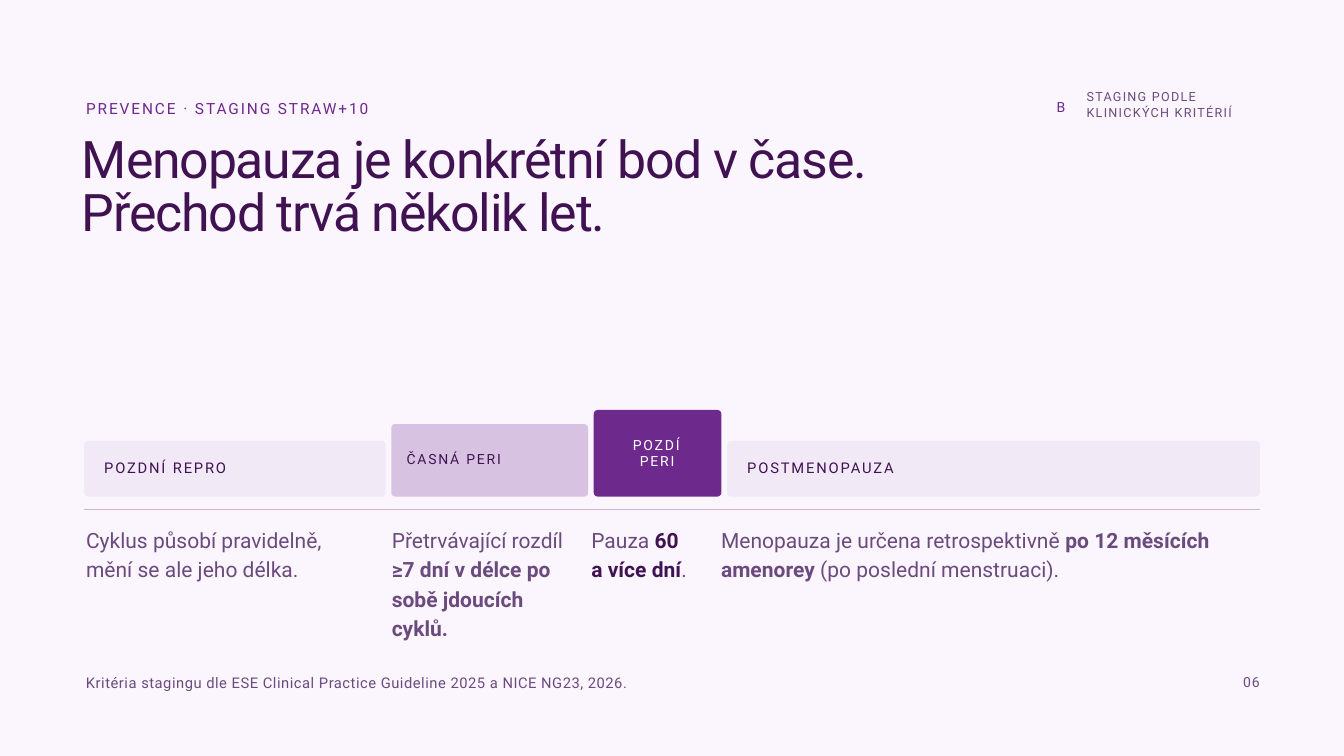
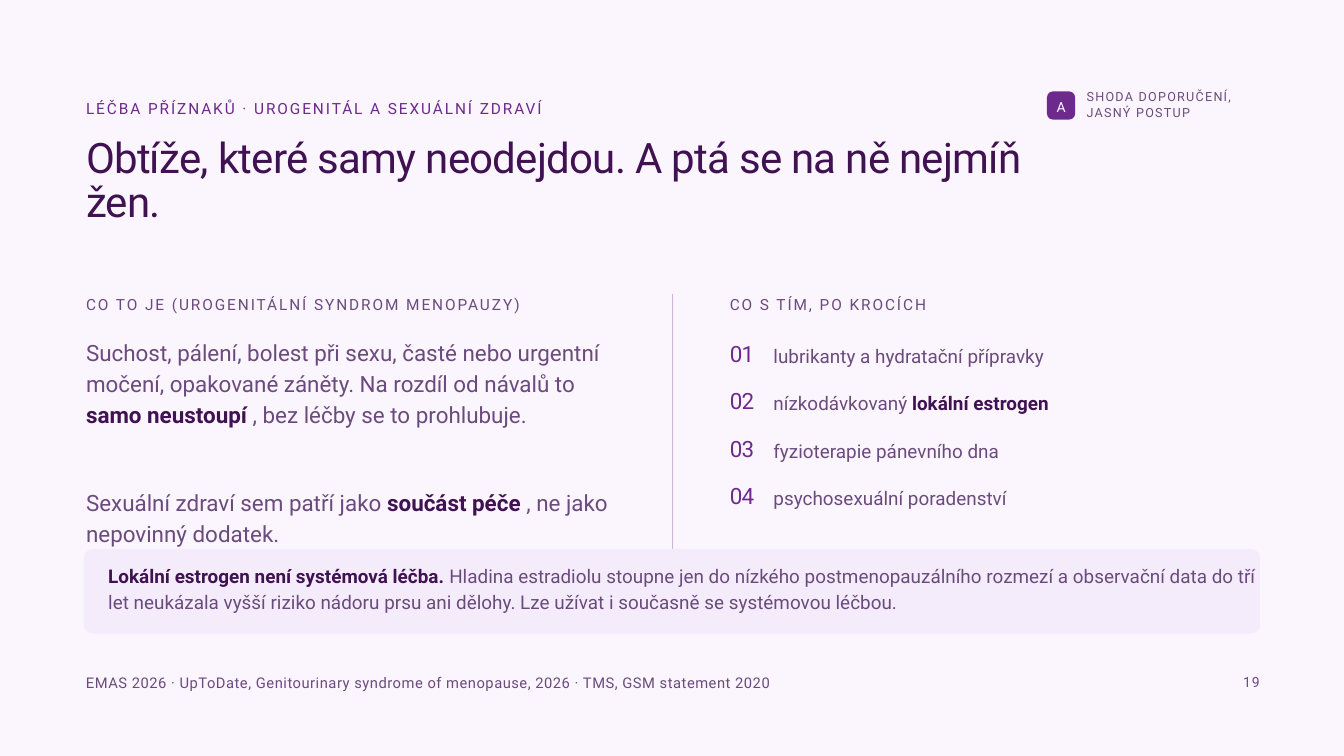
"""Build two slides on menopause staging and urogenital care."""
from dataclasses import dataclass

from pptx import Presentation
from pptx import util as u
from pptx.dml import color
from pptx.enum import shapes, text
from pptx.oxml import ns, xmlchemy
from pptx.oxml import parse_xml

LEFT = text.PP_ALIGN.LEFT
MID = text.PP_ALIGN.CENTER


@dataclass(frozen=True)
class Style:
    size: float
    lead: float
    ink: str
    track: float = 0
    bold: str = ""
    align: text.PP_ALIGN = LEFT


@dataclass(frozen=True)
class Theme:
    font: str = "Roboto"
    back: str = "FBF5FE"
    dark: str = "401252"
    soft: str = "6B4B7D"
    main: str = "6D2A8C"
    rule: str = "CDB3DC"
    pale: str = "F4ECFA"
    white: str = "FFFFFF"
    topic: Style = Style(16.5, 24.75, main, 2.1)
    head: Style = Style(16.5, 24.75, soft, 2.1)
    large: Style = Style(55.5, 56.7, dark, -1.3)
    title: Style = Style(45, 47.4, dark, -0.8)
    grade: Style = Style(15, 22.4, main, align=MID)
    mark: Style = Style(15, 22.4, white, align=MID)
    tag: Style = Style(13.5, 16.8, soft, 1.4)
    stage: Style = Style(15.75, 23.8, dark, 2)
    early: Style = Style(15, 22.4, dark, 1.9)
    late: Style = Style(15, 17.3, white, 1.9, align=MID)
    note: Style = Style(22.5, 31.1, soft, bold=soft)
    key: Style = Style(22.5, 31.1, soft, bold=dark)
    body: Style = Style(24, 33.3, soft, bold=dark)
    count: Style = Style(24, 36, main, -0.7)
    step: Style = Style(20.25, 28.1, soft, bold=dark)
    foot: Style = Style(15.75, 22.8, soft, 0.6)
    page: Style = Style(15, 22.4, soft, 0.9)


T = Theme()


@dataclass(frozen=True)
class Box:
    x: float
    y: float
    w: float
    h: float

    def lengths(self) -> list[u.Length]:
        return [u.Inches(v) for v in (self.x, self.y, self.w, self.h)]


@dataclass(frozen=True)
class Frame:
    topic: str
    title: str
    style: Style
    place: Box
    grade: str
    filled: bool
    tag: str
    foot: str
    page: str


@dataclass(frozen=True)
class Stage:
    width: float
    height: float
    fill: str
    alpha: int
    name: str
    spot: Box
    style: Style
    note: str
    area: Box
    kind: Style


EDGE, SPAN, INSET = 1.25, 17.5, 1.28
BASE, GAP = 7.39, 0.083

FRAMES = (
    Frame("PREVENCE · STAGING STRAW+10",
          "Menopauza je konkrétní bod v čase.\nPřechod trvá několik let.",
          T.large, Box(1.22, 2.03, 14.97, 1.63), "B", False,
          "STAGING PODLE KLINICKÝCH KRITÉRIÍ",
          "Kritéria stagingu dle ESE Clinical Practice Guideline 2025 a NICE NG23, 2026.",
          "06"),
    Frame("LÉČBA PŘÍZNAKŮ · UROGENITÁL A SEXUÁLNÍ ZDRAVÍ",
          "Obtíže, které samy neodejdou. A ptá se na ně nejmíň žen.",
          T.title, Box(INSET, 2.05, 14.97, 1.37), "A", True,
          "SHODA DOPORUČENÍ, JASNÝ POSTUP",
          "EMAS 2026 · UpToDate, Genitourinary syndrome of menopause, 2026"
          " · TMS, GSM statement 2020",
          "19"),
)

STAGES = (
    Stage(4.49, 0.83, T.main, 6, "POZDNÍ REPRO", Box(1.55, 6.76, 3.09, 0.32), T.stage,
          "Cyklus působí pravidelně, mění se ale jeho délka.",
          Box(INSET, 7.8, 4.21, 0.86), T.note),
    Stage(2.93, 1.08, T.main, 25, "ČASNÁ PERI", Box(6.05, 6.64, 1.55, 0.39), T.early,
          "Přetrvávající rozdíl *≥7 dní v délce po sobě jdoucích cyklů.",
          Box(5.83, 7.8, 2.59, 1.71), T.note),
    Stage(1.9, 1.29, T.main, 100, "POZDÍ PERI", Box(9.31, 6.5, 0.94, 0.5), T.late,
          "Pauza *60 a více dní*.", Box(8.8, 7.8, 1.54, 1.45), T.key),
    Stage(7.93, 0.83, T.main, 6, "POSTMENOPAUZA", Box(11.12, 6.76, 2.57, 0.32), T.stage,
          "Menopauza je určena retrospektivně *po 12 měsících amenorey *"
          "(po poslední menstruaci).",
          Box(10.73, 7.8, 8.24, 0.86), T.note),
)

STEPS = (
    "lubrikanty a hydratační přípravky",
    "nízkodávkovaný *lokální estrogen",
    "fyzioterapie pánevního dna",
    "psychosexuální poradenství",
)


def tint(code: str) -> color.RGBColor:
    """Turn a hex code into a colour."""
    return color.RGBColor.from_string(code)


def fill_text(frame, words: str, style: Style) -> None:
    """Write styled paragraphs, with starred parts in bold."""
    frame.margin_left = frame.margin_right = frame.margin_top = frame.margin_bottom = 0
    frame.word_wrap = True
    frame.auto_size = text.MSO_AUTO_SIZE.NONE
    for num, line in enumerate(words.split("\n")):
        para = frame.add_paragraph() if num else frame.paragraphs[0]
        para.alignment = style.align
        para.line_spacing = u.Pt(style.lead)
        font = para.font
        font.name, font.size, font.bold = T.font, u.Pt(style.size), False
        font.color.rgb = tint(style.ink)
        if style.track:
            props = para._p.get_or_add_pPr().get_or_add_defRPr()
            props.set("spc", str(round(style.track * 100)))
        for part, piece in enumerate(line.split("*")):
            if not piece:
                continue
            run = para.add_run()
            run.text = piece
            if part % 2:
                run.font.bold = True
                run.font.color.rgb = tint(style.bold)


def add_text(slide, box: Box, words: str, style: Style,
             anchor=text.MSO_ANCHOR.TOP) -> None:
    """Place a text box."""
    frame = slide.shapes.add_textbox(*box.lengths()).text_frame
    frame.vertical_anchor = anchor
    fill_text(frame, words, style)


def add_panel(slide, box: Box, fill: str, curve: float, alpha: int = 100) -> None:
    """Draw a rounded panel with a given corner radius."""
    panel = slide.shapes.add_shape(shapes.MSO_SHAPE.ROUNDED_RECTANGLE, *box.lengths())
    panel.adjustments[0] = curve / min(box.w, box.h)
    panel.shadow.inherit = False
    panel.line.fill.background()
    panel.fill.solid()
    panel.fill.fore_color.rgb = tint(fill)
    if alpha < 100:
        tone = panel._element.spPr.find(".//" + ns.qn("a:srgbClr"))
        tone.append(parse_xml(f'<a:alpha {ns.nsdecls("a")} val="{alpha * 1000}"/>'))


def add_rule(slide, x: float, y: float, right: float, low: float) -> None:
    """Draw a thin rule."""
    ends = [u.Inches(v) for v in (x, y, right, low)]
    rule = slide.shapes.add_connector(shapes.MSO_CONNECTOR.STRAIGHT, *ends)
    rule.line.color.rgb = tint(T.rule)
    rule.line.width = u.Pt(0.75)
    rule._element.spPr.append(parse_xml(f'<a:effectLst {ns.nsdecls("a")}/>'))


def add_frame(deck, frame: Frame):
    """Add a slide with its title, grade and footer."""
    slide = deck.slides.add_slide(deck.slide_layouts[5])
    title = slide.shapes.title
    title.left, title.top, title.width, title.height = frame.place.lengths()
    title.text_frame.vertical_anchor = text.MSO_ANCHOR.TOP
    fill_text(title.text_frame, frame.title, frame.style)
    add_text(slide, Box(INSET, 1.41, 8.01, 0.4), frame.topic, T.topic)
    if frame.filled:
        add_panel(slide, Box(15.58, 1.36, 0.42, 0.42), T.main, 0.09)
    add_text(slide, Box(15.54, 1.31, 0.5, 0.5), frame.grade,
             T.mark if frame.filled else T.grade, text.MSO_ANCHOR.MIDDLE)
    add_text(slide, Box(16.17, 1.32, 2.63, 0.51), frame.tag, T.tag)
    add_text(slide, Box(INSET, 9.97, 14.84, 0.38), frame.foot, T.foot)
    add_text(slide, Box(18.5, 9.96, 0.3, 0.39), frame.page, T.page)
    return slide


def draw_stages(slide) -> None:
    """Draw the stage bars and the notes below them."""
    left = EDGE
    for stage in STAGES:
        bar = Box(left, BASE - stage.height, stage.width, stage.height)
        add_panel(slide, bar, stage.fill, 0.06, stage.alpha)
        add_text(slide, stage.spot, stage.name, stage.style)
        add_text(slide, stage.area, stage.note, stage.kind)
        left += stage.width + GAP
    add_rule(slide, EDGE, 7.58, EDGE + SPAN, 7.58)


def draw_care(slide) -> None:
    """Draw the symptom column, the steps and the callout."""
    add_rule(slide, 10, 4.37, 10, 8.25)
    add_text(slide, Box(INSET, 4.33, 8.09, 0.43),
             "CO TO JE (UROGENITÁLNÍ SYNDROM MENOPAUZY)", T.head)
    add_text(slide, Box(INSET, 4.98, 8.09, 2.05),
             "Suchost, pálení, bolest při sexu, časté nebo urgentní močení, opakované "
             "záněty. Na rozdíl od návalů to *samo neustoupí *, bez léčby se to "
             "prohlubuje.", T.body)
    add_text(slide, Box(INSET, 7.21, 8.09, 1.05),
             "Sexuální zdraví sem patří jako *součást péče *, ne jako nepovinný dodatek.",
             T.body)
    add_text(slide, Box(10.86, 4.33, 8.1, 0.43), "CO S TÍM, PO KROCÍCH", T.head)
    for num, step in enumerate(STEPS):
        top = 4.96 + num * 0.707
        add_text(slide, Box(10.86, top, 0.41, 0.61), f"{num + 1:02}", T.count)
        add_text(slide, Box(11.51, top + 0.11, 7.94, 0.46), step, T.step)
    add_panel(slide, Box(EDGE, 8.17, SPAN, 1.26), T.pale, 0.13)
    add_text(slide, Box(1.61, 8.35, 17.28, 0.88),
             "*Lokální estrogen není systémová léčba. *Hladina estradiolu stoupne jen do "
             "nízkého postmenopauzálního rozmezí a observační data do tří let neukázala "
             "vyšší riziko nádoru prsu ani dělohy. Lze užívat i současně se systémovou "
             "léčbou.", T.step)


def main() -> None:
    """Build and save the deck."""
    deck = Presentation()
    deck.slide_width, deck.slide_height = u.Inches(20), u.Inches(11.25)
    ground = deck.slide_master.background.fill
    ground.solid()
    ground.fore_color.rgb = tint(T.back)
    for frame, draw in zip(FRAMES, (draw_stages, draw_care)):
        draw(add_frame(deck, frame))
    deck.save("out.pptx")


if __name__ == "__main__":
    main()
